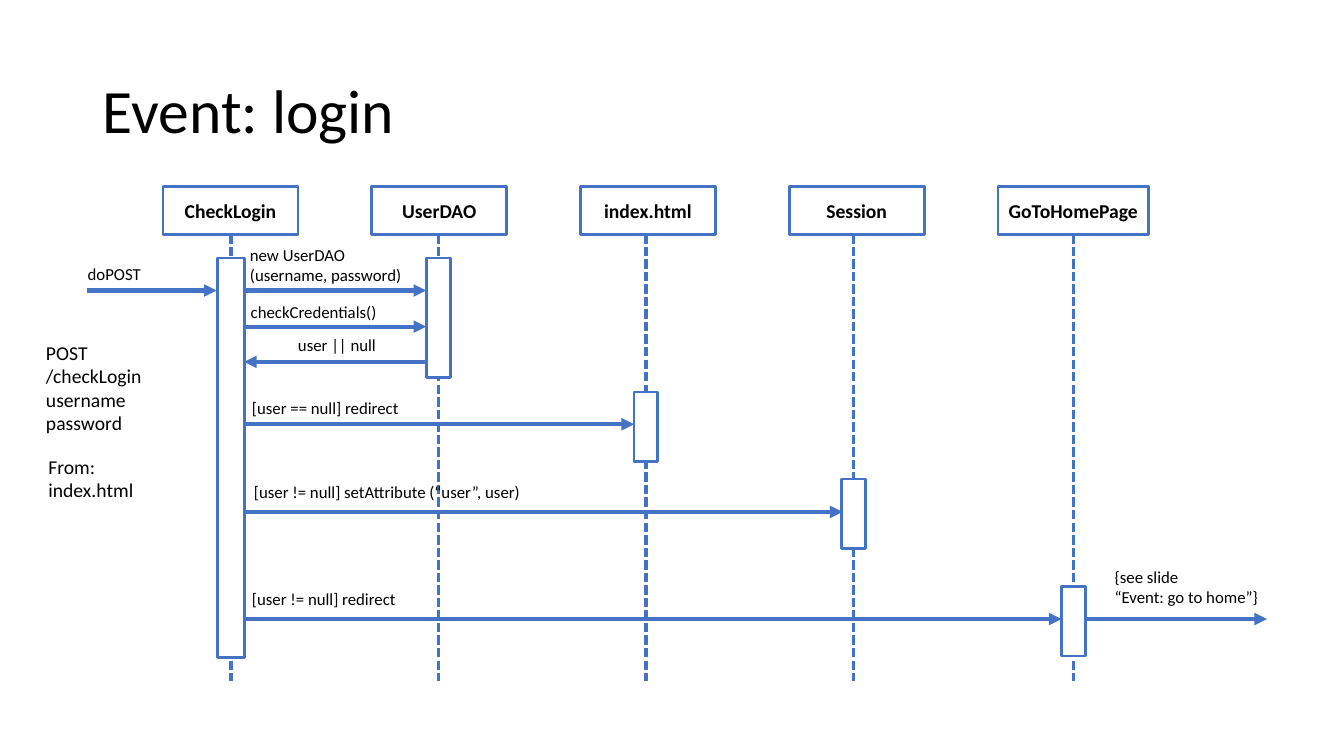
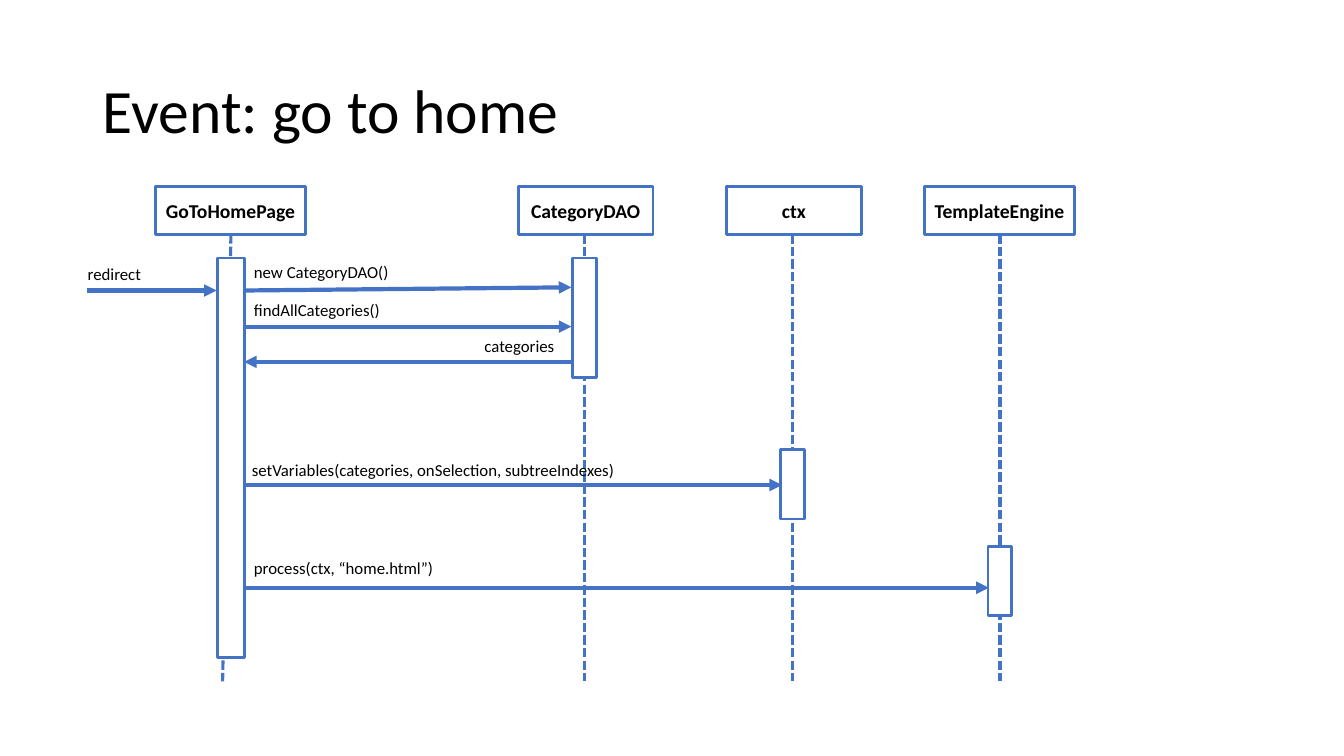
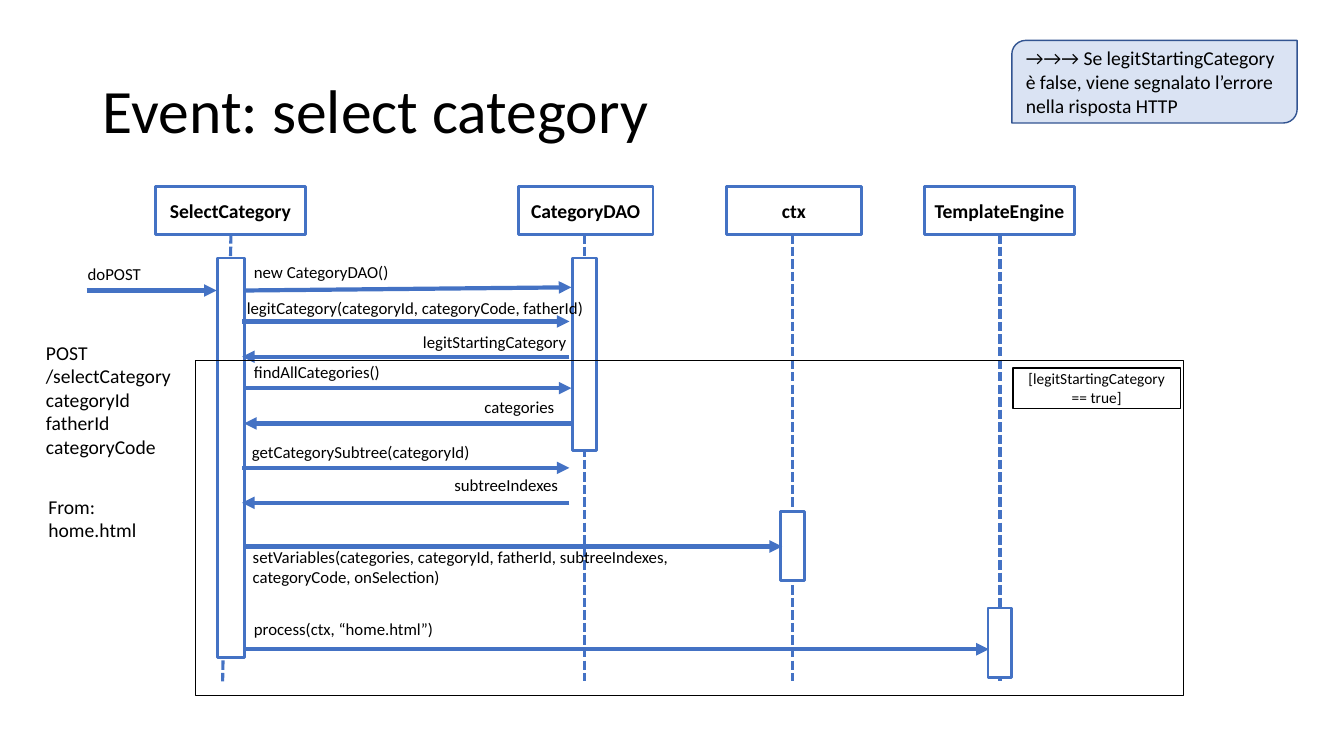
"""Sequence diagrams for the login, home and category events."""
from dataclasses import dataclass
from typing import Optional

import pptx
import pptx.dml.color
import pptx.enum.dml
import pptx.enum.shapes
import pptx.enum.text
import pptx.oxml.ns
import pptx.shapes.autoshape
import pptx.shapes.connector
import pptx.slide
import pptx.text.text
import pptx.util
from lxml import etree

Cm = pptx.util.Cm
Pt = pptx.util.Pt
RGBColor = pptx.dml.color.RGBColor
Shapes = pptx.enum.shapes.MSO_SHAPE
Align = pptx.enum.text.PP_ALIGN
Anchor = pptx.enum.text.MSO_ANCHOR
qn = pptx.oxml.ns.qn

BLUE = RGBColor(0x44, 0x72, 0xC4)
DARK_BLUE = RGBColor(0x32, 0x54, 0x91)
PALE_BLUE = RGBColor(0xDA, 0xE3, 0xF3)
BLACK = RGBColor(0, 0, 0)
WHITE = RGBColor(0xFF, 0xFF, 0xFF)
FONT = "Calibri"

# Shared measures, in centimetres
HEAD_TOP, HEAD_HEIGHT = 4.7, 1.22
AXIS_TOP, AXIS_BOTTOM = 5.9, 17.17
BAR_TOP, BAR_HEIGHT = 6.5, 10.08
SHORT_BAR = 1.75
WIDE_HEAD = 3.8
SENDER = 6.15
DAO_EDGE = 14.4


@dataclass(frozen=True)
class Box:
    """A rectangle in centimetres."""
    left: float
    top: float
    width: float
    height: float

    def lengths(self) -> tuple:
        """Give the four measures as slide lengths."""
        return Cm(self.left), Cm(self.top), Cm(self.width), Cm(self.height)


@dataclass(frozen=True)
class Lifeline:
    """A participant: its head, dashed axis and activation bar."""
    name: str
    head_left: float
    axis: float
    bar_top: float
    bar_height: float = SHORT_BAR
    head_width: float = 3.4
    bar_width: float = 0.6
    axis_foot: Optional[float] = None


@dataclass(frozen=True)
class Message:
    """A labelled arrow between two participants."""
    label: str
    label_box: Box
    start: float
    end: float
    y: float
    end_y: Optional[float] = None


@dataclass(frozen=True)
class Note:
    """Text at the side of the diagram."""
    text: str
    box: Box


def write(frame: pptx.text.text.TextFrame, text: str, *, size: float = 12,
          bold: bool = False, align: Align = Align.LEFT,
          anchor: Anchor = Anchor.TOP, spacing: float = 1.0) -> None:
    """Fill a frame with text, one paragraph for each line."""
    frame.text = text
    frame.word_wrap = True
    frame.auto_size = pptx.enum.text.MSO_AUTO_SIZE.NONE
    frame.vertical_anchor = anchor
    for paragraph in frame.paragraphs:
        paragraph.alignment = align
        paragraph.line_spacing = spacing
        for run in paragraph.runs:
            run.font.name = FONT
            run.font.size = Pt(size)
            run.font.bold = bold
            run.font.color.rgb = BLACK


def add_label(slide: pptx.slide.Slide, text: str, box: Box, size: float = 12) -> None:
    """Place free text on the slide."""
    write(slide.shapes.add_textbox(*box.lengths()).text_frame, text, size=size)


def add_box(slide: pptx.slide.Slide, box: Box, *, kind: Shapes = Shapes.RECTANGLE,
            fill: Optional[RGBColor] = WHITE, line: RGBColor = BLUE,
            weight: float = 2) -> pptx.shapes.autoshape.Shape:
    """Draw an outlined shape without shadow."""
    shape = slide.shapes.add_shape(kind, *box.lengths())
    shape.shadow.inherit = False
    if fill is None:
        shape.fill.background()
    else:
        shape.fill.solid()
        shape.fill.fore_color.rgb = fill
    shape.line.color.rgb = line
    shape.line.width = Pt(weight)
    return shape


def add_line(slide: pptx.slide.Slide, x1: float, y1: float, x2: float, y2: float,
             weight: float) -> pptx.shapes.connector.Connector:
    """Draw a straight blue line without shadow."""
    line = slide.shapes.add_connector(
        pptx.enum.shapes.MSO_CONNECTOR.STRAIGHT, Cm(x1), Cm(y1), Cm(x2), Cm(y2))
    line.line.color.rgb = BLUE
    line.line.width = Pt(weight)
    etree.SubElement(line._element.spPr, qn("a:effectLst"))
    return line


def add_lifelines(slide: pptx.slide.Slide, lifelines: list[Lifeline]) -> None:
    """Draw all heads and axes, then the bars on top of them."""
    for life in lifelines:
        head = add_box(slide, Box(life.head_left, HEAD_TOP, life.head_width, HEAD_HEIGHT))
        write(head.text_frame, life.name, size=14, bold=True,
              align=Align.CENTER, anchor=Anchor.MIDDLE)
        foot = life.axis if life.axis_foot is None else life.axis_foot
        axis = add_line(slide, life.axis, AXIS_TOP, foot, AXIS_BOTTOM, 2.25)
        axis.line.dash_style = pptx.enum.dml.MSO_LINE.SQUARE_DOT
    for life in lifelines:
        add_box(slide, Box(life.axis - life.bar_width / 2, life.bar_top,
                           life.bar_width, life.bar_height))


def add_message(slide: pptx.slide.Slide, message: Message) -> None:
    """Draw an arrow and its label."""
    end_y = message.y if message.end_y is None else message.end_y
    arrow = add_line(slide, message.start, message.y, message.end, end_y, 3)
    outline = arrow._element.spPr.find(qn("a:ln"))
    etree.SubElement(outline, qn("a:tailEnd"), type="triangle")
    add_label(slide, message.label, message.label_box)


def add_diagram(deck, title: str, lifelines: list[Lifeline], messages: list[Message],
                notes: tuple[Note, ...] = ()) -> pptx.slide.Slide:
    """Add a titled slide holding one sequence diagram."""
    slide = deck.slides.add_slide(deck.slide_layouts[5])
    heading = slide.shapes.title
    heading.left, heading.top, heading.width, heading.height = Box(
        2.34, 1.02, 29.21, 3.68).lengths()
    write(heading.text_frame, title, size=44, anchor=Anchor.MIDDLE, spacing=0.9)
    add_lifelines(slide, lifelines)
    for message in messages:
        add_message(slide, message)
    for note in notes:
        add_label(slide, note.text, note.box, size=14)
    return slide


def entry(label: str) -> Message:
    """Give the arrow that starts an event."""
    return Message(label, Box(1.96, 6.53, 2.11, 0.74), 2.18, 5.46, 7.32)


def controller(name: str, head_left: float, **options: float) -> Lifeline:
    """Give the first lifeline, active through the whole event."""
    return Lifeline(name, head_left, 5.82, BAR_TOP, BAR_HEIGHT, bar_width=0.69, **options)


def category_lifelines(name: str, dao_height: float, shift: float) -> list[Lifeline]:
    """Give the participants of a category event; shift lowers the later bars."""
    return [
        controller(name, 3.91, head_width=WIDE_HEAD, axis_foot=5.61),
        Lifeline("CategoryDAO", 13.06, 14.73, BAR_TOP, dao_height),
        Lifeline("ctx", 18.31, 19.98, 11.33 + shift),
        Lifeline("TemplateEngine", 23.29, 25.2, 13.77 + shift, head_width=WIDE_HEAD),
    ]


def category_messages(start: str, variables: str, variables_box: Box,
                      shift: float) -> list[Message]:
    """Give the messages of a category event; shift lowers the later ones."""
    return [
        entry(start),
        Message("new CategoryDAO()", Box(6.15, 6.48, 4.06, 0.74),
                SENDER, DAO_EDGE, 7.32, 7.24),
        Message("findAllCategories()", Box(6.15, 7.44 + shift, 4.78, 0.71),
                SENDER, DAO_EDGE, 8.23 + shift),
        Message("categories", Box(11.96, 8.33 + shift, 3.45, 0.81),
                DAO_EDGE, SENDER, 9.12 + shift),
        Message(f"setVariables({variables})", variables_box, SENDER, 19.71, 12.22 + shift),
        Message("process(ctx, “home.html”)", Box(6.15, 13.92 + shift, 10.36, 0.71),
                SENDER, 24.92, 14.81 + shift),
    ]


def add_login(deck) -> None:
    """Add the login event."""
    first, pitch = 4.11, 5.26
    user_edge = 10.74
    lifelines = [
        controller("CheckLogin", first),
        Lifeline("UserDAO", first + pitch, 11.05, BAR_TOP, 3.02),
        Lifeline("index.html", first + 2 * pitch, 16.28, 9.88),
        Lifeline("Session", first + 3 * pitch, 21.51, 12.07),
        Lifeline("GoToHomePage", first + 4 * pitch, 27.05, 14.78, head_width=WIDE_HEAD),
    ]
    messages = [
        entry("doPOST"),
        Message("new UserDAO (username, password)", Box(6.05, 6.05, 4.78, 1.22),
                SENDER, user_edge, 7.32),
        Message("checkCredentials()", Box(6.07, 7.49, 4.78, 0.71), SENDER, user_edge, 8.23),
        Message("user || null", Box(7.26, 8.31, 3.45, 0.81), user_edge, SENDER, 9.12),
        Message("[user == null] redirect", Box(6.1, 9.91, 5.33, 0.69), SENDER, 15.98, 10.69),
        Message("[user != null] setAttribute (“user”, user)",
                Box(6.15, 12.01, 10.36, 0.71), SENDER, 21.23, 12.9),
        Message("[user != null] redirect", Box(6.1, 14.71, 5.33, 0.69), SENDER, 26.75, 15.6),
        Message("{see slide\n“Event: go to home”}", Box(27.84, 14.15, 4.72, 1.75),
                27.36, 31.93, 15.6),
    ]
    add_diagram(deck, "Event: login", lifelines, messages, (
        Note("POST\n/checkLogin\nusername\npassword", Box(0.91, 8.46, 3.2, 2.57)),
        Note("From:\nindex.html", Box(0.97, 11.33, 2.67, 1.4)),
    ))


def add_home(deck) -> None:
    """Add the go to home event."""
    messages = category_messages("redirect", "categories, onSelection, subtreeIndexes",
                                 Box(6.1, 11.46, 9.7, 0.64), 0)
    add_diagram(deck, "Event: go to home",
                category_lifelines("GoToHomePage", 3.02, 0), messages)


def add_select_category(deck) -> None:
    """Add the select category event with its guarded part."""
    shift = 1.55
    left, right = 6.1, 14.35
    messages = category_messages(
        "doPOST", "categories, categoryId, fatherId, subtreeIndexes, categoryCode, onSelection",
        Box(6.12, 13.64, 12.19, 1.12), shift)
    messages += [
        Message("getCategorySubtree(categoryId)", Box(6.1, 11, 6.53, 0.61),
                left, right, 11.79),
        Message("subtreeIndexes", Box(11.2, 11.84, 3.45, 0.81), right, left, 12.67),
        Message("legitCategory(categoryId, categoryCode, fatherId)",
                Box(5.97, 7.39, 9.32, 0.56), left, right, 8.1),
        Message("legitStartingCategory", Box(10.41, 8.23, 4.24, 0.66), right, left, 8.99),
    ]
    slide = add_diagram(
        deck, "Event: select category",
        category_lifelines("SelectCategory", 4.85, shift), messages, (
            Note("POST\n/selectCategory\ncategoryId\nfatherId\ncategoryCode",
                 Box(0.91, 8.46, 3.71, 3.56)),
            Note("From:\nhome.html", Box(0.97, 12.34, 3.71, 1.4)),
        ))
    add_box(slide, Box(4.93, 9.09, 24.89, 8.43), fill=None, line=BLACK, weight=1)
    guard = add_box(slide, Box(25.53, 9.27, 4.22, 1.02), fill=None, line=BLACK, weight=1)
    write(guard.text_frame, "[legitStartingCategory\n== true]", size=11,
          align=Align.CENTER, anchor=Anchor.MIDDLE)
    warning = add_box(slide, Box(25.5, 1.02, 7.19, 2.08), kind=Shapes.ROUND_2_DIAG_RECTANGLE,
                      fill=PALE_BLUE, line=DARK_BLUE, weight=1)
    write(warning.text_frame, "→→→ Se legitStartingCategory è false, viene segnalato "
          "l’errore nella risposta HTTP", size=14, anchor=Anchor.MIDDLE)


def main() -> None:
    """Build and save the deck."""
    deck = pptx.Presentation()
    deck.slide_width, deck.slide_height = Cm(33.87), Cm(19.05)
    add_login(deck)
    add_home(deck)
    add_select_category(deck)
    deck.save("out.pptx")


main()
